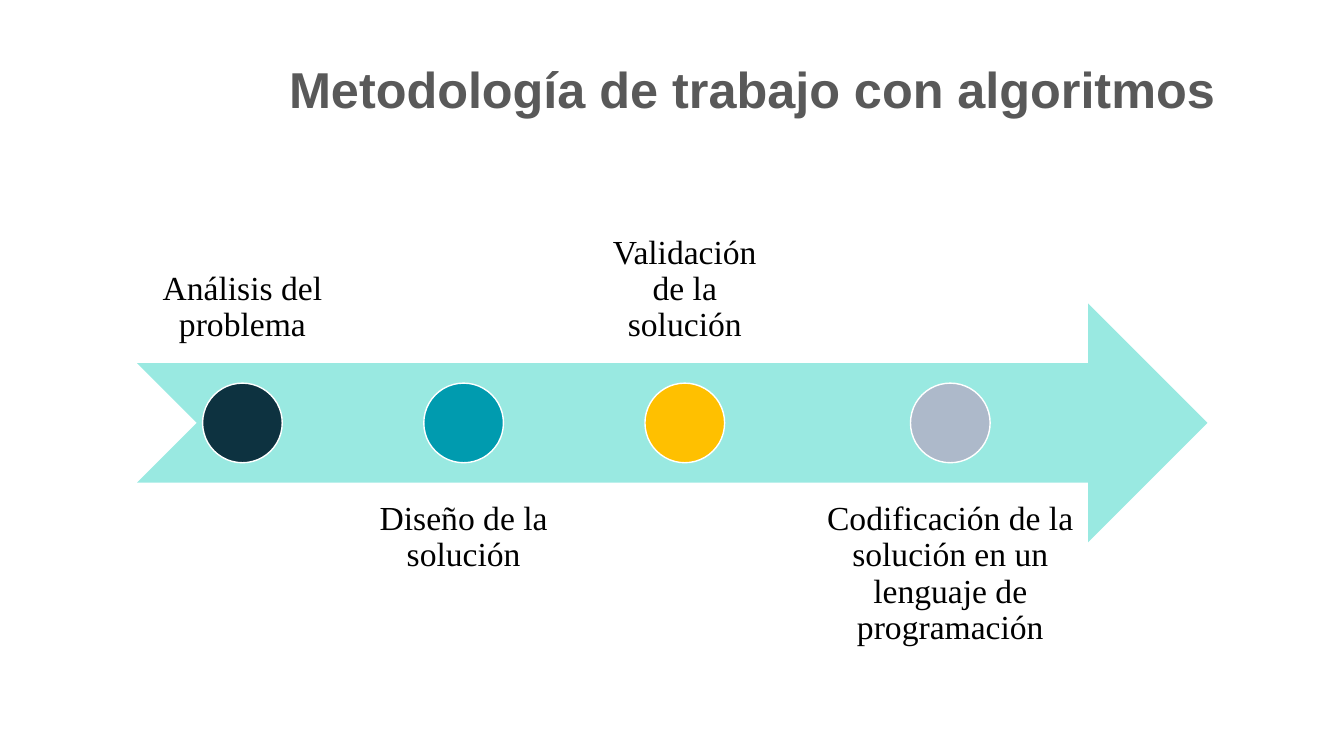
from dataclasses import dataclass

from lxml.etree import SubElement
from pptx import Presentation
from pptx.dml.color import RGBColor
from pptx.enum.shapes import MSO_SHAPE
from pptx.enum.text import MSO_ANCHOR, PP_ALIGN
from pptx.oxml.ns import qn
from pptx.shapes.autoshape import Shape
from pptx.slide import Slide
from pptx.util import Pt

ARROW_LEFT, ARROW_TOP = 97.9, 216.8
ARROW_WIDTH, ARROW_HEIGHT = 764.6, 170.6
ARROW_MIDDLE = ARROW_TOP + ARROW_HEIGHT / 2
STEP_GAP = 7.5
LABEL_INSET = 13.44
LABEL_TOP_ABOVE, LABEL_TOP_BELOW = 88.6, 344.9
DOT_SIZE = 56.9

TITLE_FORMAT = {"name": "Arial", "size": Pt(36), "bold": True}
LABEL_FORMAT = {"name": "Times New Roman", "size": Pt(24)}


@dataclass(frozen=True)
class Step:
    label: str
    dot_color: str
    width: float = 150.5


STEPS = (
    Step("Análisis del problema", "0D3240"),
    Step("Diseño de la solución", "009BAF"),
    Step("Validación de la solución", "FFC000"),
    Step("Codificación de la solución en un lenguaje de programación", "ADB9CA", 213.8),
)


def rgb(value: str) -> RGBColor:
    return RGBColor.from_string(value)


def add_text(slide: Slide, text: str, left: float, top: float, width: float,
             height: float, anchor: MSO_ANCHOR, color: str, font_format: dict,
             inset: tuple[float, float]) -> None:
    """Add a centred, wrapping text box; inset is (horizontal, vertical)."""
    frame = slide.shapes.add_textbox(Pt(left), Pt(top), Pt(width), Pt(height)).text_frame
    horizontal, vertical = (Pt(value) for value in inset)
    frame_format = {
        "word_wrap": True, "vertical_anchor": anchor,
        "margin_left": horizontal, "margin_right": horizontal,
        "margin_top": vertical, "margin_bottom": vertical,
    }
    for attribute, value in frame_format.items():
        setattr(frame, attribute, value)
    paragraph = frame.paragraphs[0]
    paragraph.alignment = PP_ALIGN.CENTER
    paragraph.line_spacing = 0.9
    run = paragraph.add_run()
    run.text = text
    for attribute, value in font_format.items():
        setattr(run.font, attribute, value)
    run.font.color.rgb = rgb(color)


def add_filled(slide: Slide, kind: MSO_SHAPE, left: float, top: float,
               width: float, height: float, color: str) -> Shape:
    shape = slide.shapes.add_shape(kind, Pt(left), Pt(top), Pt(width), Pt(height))
    shape.shadow.inherit = False
    shape.fill.solid()
    shape.fill.fore_color.rgb = rgb(color)
    return shape


def add_arrow(slide: Slide) -> None:
    arrow = add_filled(slide, MSO_SHAPE.NOTCHED_RIGHT_ARROW, ARROW_LEFT, ARROW_TOP,
                       ARROW_WIDTH, ARROW_HEIGHT, "02C9B6")
    arrow.line.fill.background()
    fill_color = arrow.fill._xPr.find(qn("a:solidFill"))[0]
    SubElement(fill_color, qn("a:alpha"), val="40000")


def add_steps(slide: Slide) -> None:
    """Place the steps along the arrow, with labels alternately above and below."""
    left = ARROW_LEFT
    for index, step in enumerate(STEPS):
        above = index % 2 == 0
        add_text(slide, step.label, left,
                 LABEL_TOP_ABOVE if above else LABEL_TOP_BELOW,
                 step.width, ARROW_HEIGHT,
                 MSO_ANCHOR.BOTTOM if above else MSO_ANCHOR.TOP,
                 "000000", LABEL_FORMAT, (LABEL_INSET, LABEL_INSET))
        dot = add_filled(slide, MSO_SHAPE.OVAL, left + (step.width - DOT_SIZE) / 2,
                         ARROW_MIDDLE - DOT_SIZE / 2, DOT_SIZE, DOT_SIZE, step.dot_color)
        dot.line.color.rgb = rgb("FFFFFF")
        dot.line.width = Pt(1)
        left += step.width + STEP_GAP


def main() -> None:
    presentation = Presentation()
    presentation.slide_width, presentation.slide_height = Pt(960), Pt(540)
    slide = presentation.slides.add_slide(presentation.slide_layouts[6])
    add_text(slide, "Metodología de trabajo con algoritmos", 168.5, 32.4, 738, 66.2,
             MSO_ANCHOR.MIDDLE, "595959", TITLE_FORMAT, (7.2, 3.6))
    add_arrow(slide)
    add_steps(slide)
    presentation.save("out.pptx")


if __name__ == "__main__":
    main()
